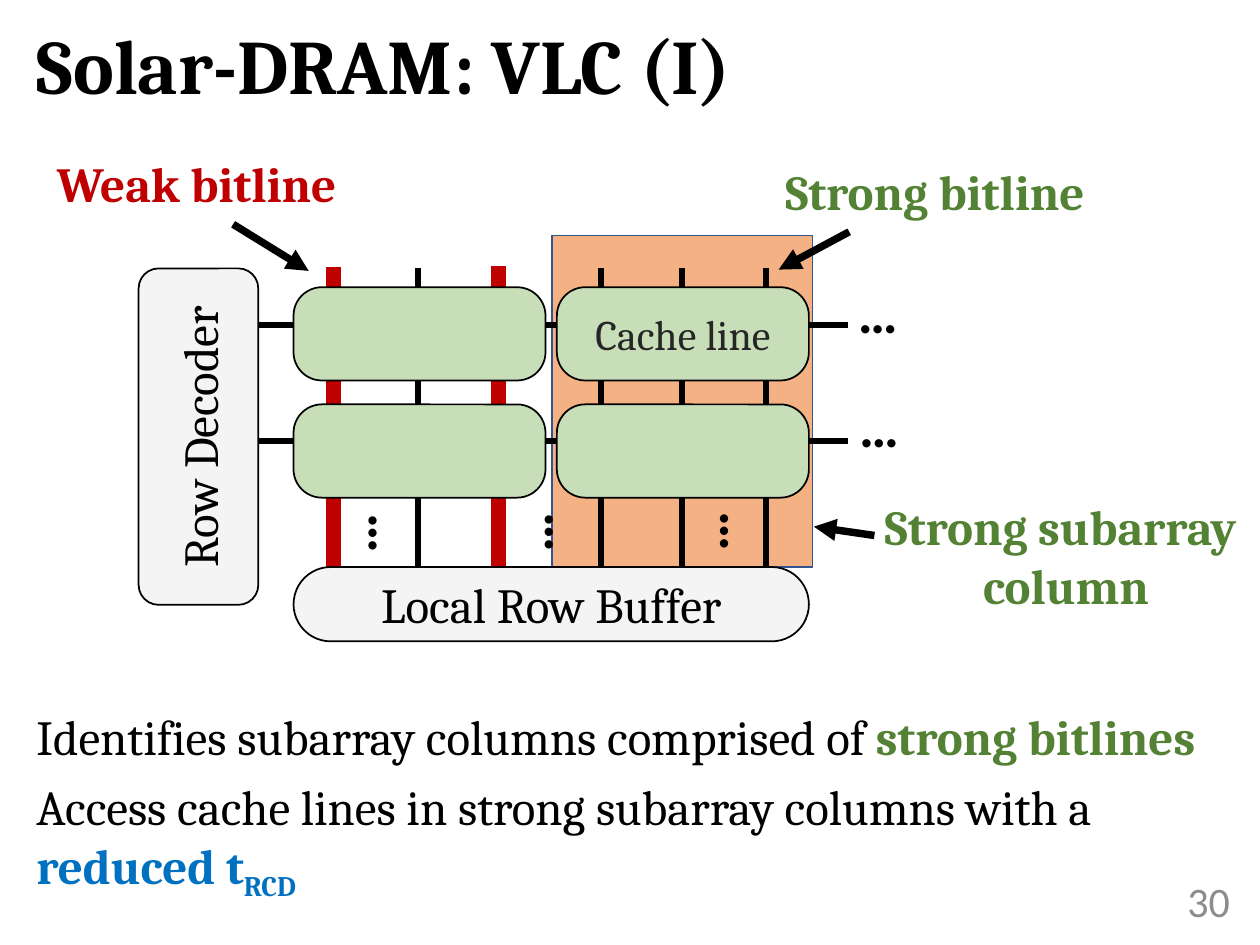
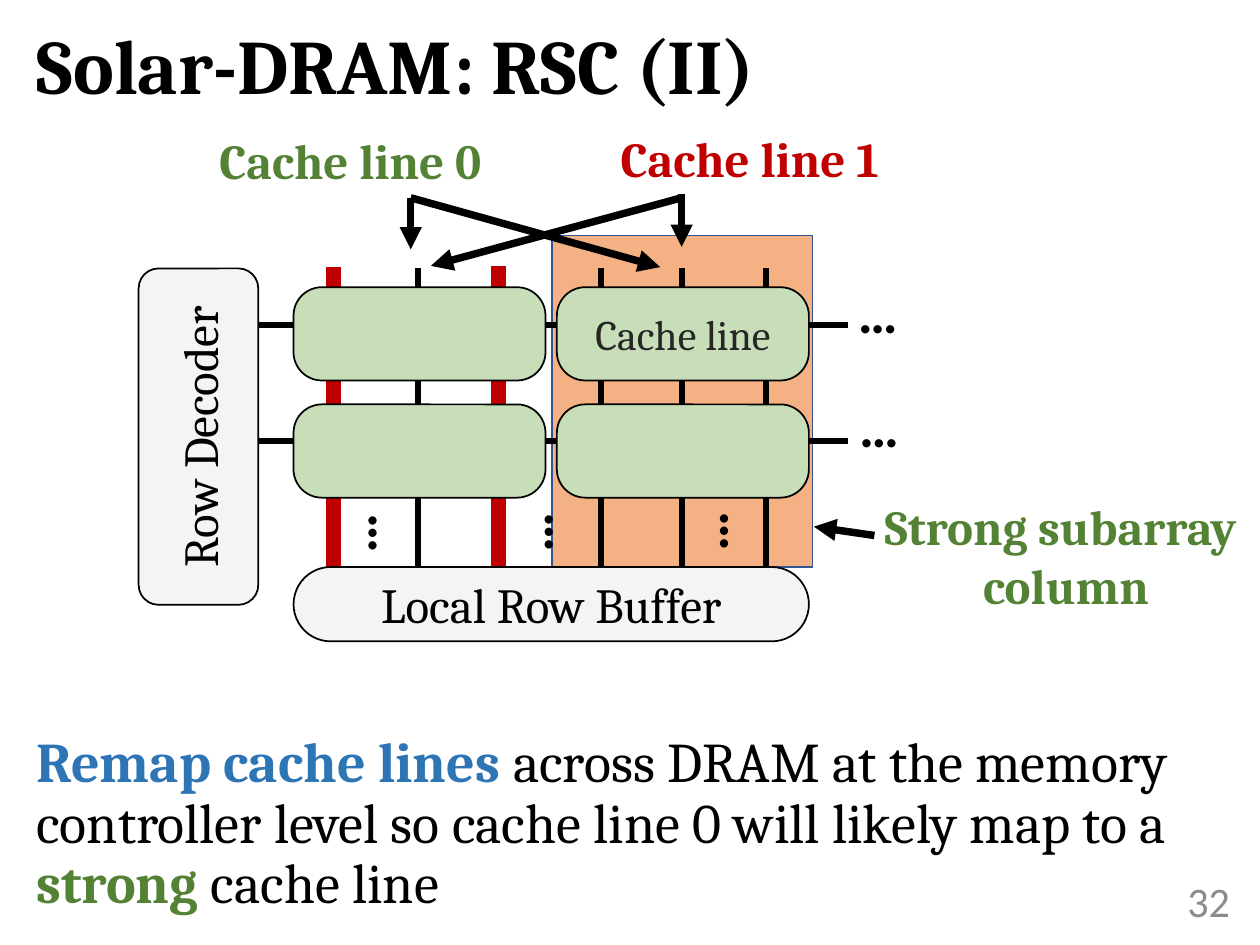
from lxml import etree
from pptx import Presentation
from pptx.dml.color import RGBColor
from pptx.enum.shapes import MSO_CONNECTOR, MSO_SHAPE as SHAPE
from pptx.enum.text import MSO_ANCHOR as ANCHOR, MSO_AUTO_SIZE as AUTO, PP_ALIGN as ALIGN
from pptx.oxml.ns import qn
from pptx.util import Pt

PX = 9144  # EMU per px, 100 px to the inch
rgb = RGBColor.from_string

BLACK, GREY, DARK = "000000", "8C8C8C", "262626"
RED, GREEN, BLUE, SKY = "C00000", "548235", "0070C0", "2E75B6"
PALE, LEAF, ORANGE, NAVY = "F4F4F4", "C7DEB8", "F4B183", "325491"

# Text formats
BODY = dict(size=28, name="Cambria", color=BLACK)
BOLD = dict(BODY, bold=True)
TITLE = dict(BOLD, size=44)
CELL = dict(BODY, size=24, color=DARK)
NUMBER = dict(size=24, name="Calibri", color=GREY)
DOTS = dict(size=32, name="Calibri", color=BLACK, bold=True)
BIG = dict(BODY, size=32)

# Paragraph and frame formats
PROSE = dict(line_spacing=0.9, space_before=Pt(10))
CENTER = dict(alignment=ALIGN.CENTER)
MIDDLE = dict(word_wrap=True, vertical_anchor=ANCHOR.MIDDLE)
TOP = dict(word_wrap=True, vertical_anchor=ANCHOR.TOP)
LABEL = dict(word_wrap=False, auto_size=AUTO.SHAPE_TO_FIT_TEXT)


def add_box(s, at, paras=(), para=CENTER, frame=MIDDLE, shape=None,
            fill=PALE, line=BLACK, adj=None, rot=0):
    """Add a preset shape, or a text box when no shape is named."""
    at = [v * PX for v in at]
    if shape is None:
        sp = s.shapes.add_textbox(*at)
    else:
        sp = s.shapes.add_shape(shape, *at)
        sp.shadow.inherit = False
        sp.fill.solid()
        sp.fill.fore_color.rgb = rgb(fill)
        sp.line.color.rgb = rgb(line)
        sp.line.width = Pt(1)
        if adj is not None:
            sp.adjustments[0] = adj
    sp.rotation = rot
    tf = sp.text_frame
    for key, value in frame.items():
        setattr(tf, key, value)
    for i, runs in enumerate(paras):
        p = tf.add_paragraph() if i else tf.paragraphs[0]
        for key, value in para.items():
            if i or key != "space_before":
                setattr(p, key, value)
        for text, fmt in runs:
            r = p.add_run()
            r.text = text
            for key, value in fmt.items():
                if key == "color":
                    r.font.color.rgb = rgb(value)
                elif key == "baseline":
                    r._r.get_or_add_rPr().set("baseline", value)
                else:
                    setattr(r.font, key, Pt(value) if key == "size" else value)


def add_line(s, start, end, width=3.5, color=BLACK, arrow=False):
    """Add a straight line, with an arrowhead at its end if asked."""
    cn = s.shapes.add_connector(MSO_CONNECTOR.STRAIGHT,
                                *[v * PX for v in (*start, *end)])
    cn.line.color.rgb = rgb(color)
    cn.line.width = Pt(width)
    if arrow:
        etree.SubElement(cn.line._get_or_add_ln(), qn("a:tailEnd"), type="triangle")
    etree.SubElement(cn._element.spPr, qn("a:effectLst"))


# What differs between the slides: label = (box, text, colour)
slides = [
    dict(title="Solar-DRAM: VLC (I)", number="30",
         labels=[((32, 117, 248, 57), "Weak bitline", RED),
                 ((609, 123, 266, 57), "Strong bitline", GREEN)],
         arrows=[((185, 178), (245, 215)), ((674, 184), (618, 214))],
         body_at=(19, 561, 981, 189),
         body=[[("Identifies subarray columns comprised of ", BODY),
                ("strong bitlines", dict(BOLD, color=GREEN))],
               [("Access cache lines in strong subarray columns with a ", BODY),
                ("reduced t", dict(BOLD, color=BLUE)),
                ("RCD", dict(BOLD, color=BLUE, baseline="-25000"))]]),
    dict(title="Solar-DRAM: RSC (II)", number="32",
         labels=[((160, 99, 236, 57), "Cache line 0", GREEN),
                 ((477, 97, 236, 57), "Cache line 1", RED)],
         arrows=[((326, 157), (326, 198)), ((541, 154), (541, 196)),
                 ((326, 157), (524, 212)), ((541, 157), (342, 211))],
         body_at=(19, 578, 952, 172),
         body=[[("Remap cache lines ", dict(BIG, bold=True, color=SKY)),
                ("across DRAM at the memory controller level so cache line 0 "
                 "will likely map to a ", BIG),
                ("strong", dict(BIG, bold=True, color=GREEN)),
                (" cache line", BIG)]]),
]

prs = Presentation()
prs.slide_width, prs.slide_height = 1000 * PX, 750 * PX

for page in slides:
    s = prs.slides.add_slide(prs.slide_layouts[6])

    # Strong subarray column, behind everything
    add_box(s, (438, 187, 207, 263), shape=SHAPE.RECTANGLE, fill=ORANGE, line=NAVY)

    # Title and slide number
    add_box(s, (19, 15, 952, 81), [[(page["title"], TITLE)]], dict(line_spacing=0.9))
    add_box(s, (706, 695, 280, 40), [[(page["number"], NUMBER)]],
            dict(alignment=ALIGN.RIGHT))

    # Row decoder, wordlines and bitlines
    add_box(s, (24, 299, 267, 95), [[("Row Decoder", BODY)]],
            shape=SHAPE.ROUNDED_RECTANGLE, rot=270)
    for y in (258, 350):
        add_line(s, (205, y), (673, y))
    for x in (332, 477, 541, 608):
        add_line(s, (x, 213), (x, 479))
    for x, top in ((265, 212), (396, 211)):
        add_line(s, (x, top), (x, 479), 8.5, RED)

    # Cache lines, two by two
    for x in (233, 442):
        for y in (228, 321):
            named = (x, y) == (442, 228)
            add_box(s, (x, y, 200, 74), [[("Cache line", CELL)]] if named else (),
                    shape=SHAPE.ROUNDED_RECTANGLE, fill=LEAF, adj=0.304)

    # Ellipses for further rows and columns
    for x, y, rot in ((284, 392, 90), (424, 391, 90), (563, 390, 90),
                      (671, 215, 0), (672, 306, 0)):
        add_box(s, (x, y, 52, 64), [[("…", DOTS)]], {}, LABEL, rot=rot)

    # Local row buffer
    add_box(s, (233, 450, 409, 59), [[("Local Row Buffer", BODY)]],
            shape=SHAPE.ROUNDED_RECTANGLE, adj=0.5)

    # Labels and their arrows
    for at, text, color in page["labels"]:
        add_box(s, at, [[(text, dict(BOLD, color=color))]], frame=LABEL)
    green = dict(BOLD, color=GREEN)
    add_box(s, (687, 389, 318, 104), [[("Strong subarray ", green)], [("column", green)]],
            frame=LABEL)
    for start, end in page["arrows"] + [((694, 425), (646, 418))]:
        add_line(s, start, end, 4.25, arrow=True)

    # Body text
    add_box(s, page["body_at"], page["body"], PROSE, TOP)

prs.save("out.pptx")
